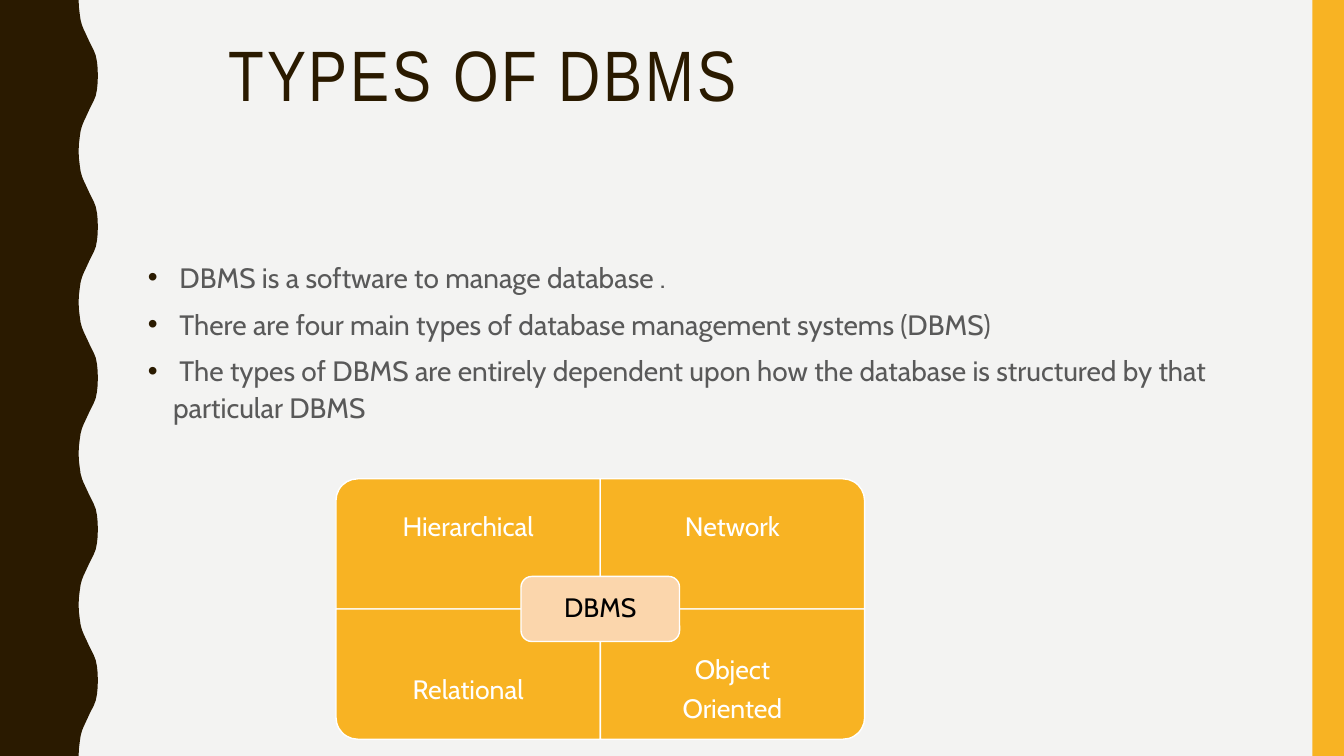
"""Build the slide on the four types of DBMS."""
from dataclasses import dataclass
from typing import Any, NamedTuple

from lxml import etree
from pptx import Presentation
from pptx.dml import color
from pptx.enum import shapes, text
from pptx.oxml import ns
from pptx.util import Pt


@dataclass(frozen=True)
class Theme:
    paper: str = "F3F3F2"
    dark: str = "2A1A00"
    accent: str = "F8B323"
    hub: str = "FBD6AC"
    body: str = "595959"
    white: str = "FFFFFF"
    black: str = "000000"
    heading_font: str = "Arial Narrow"
    text_font: str = "Cabin"
    heading_size: float = 51
    body_size: float = 20
    label_size: float = 19


class Box(NamedTuple):
    left: float
    top: float
    width: float
    height: float

    def lengths(self) -> list[Pt]:
        return [Pt(value) for value in self]


class Quarter(NamedTuple):
    column: int
    row: int
    rotation: int
    lines: list[str]


THEME = Theme()
SLIDE_WIDTH, SLIDE_HEIGHT = 960, 540
CENTRE_X, CENTRE_Y = 428.8, 435
QUARTER_WIDTH, QUARTER_HEIGHT = 188.8, 93
WAVE_PERIOD = 108
HALF_WAVE = [
    (56.2, 0), (56.4, 5), (57, 10), (57.6, 14.4), (58.6, 18),
    (59.8, 21), (61.2, 24), (62.6, 27), (64, 30), (65.5, 33),
    (67, 36), (68.4, 39.6), (69.3, 44), (69.8, 49), (69.9, 54),
]
QUARTERS = [
    Quarter(0, 0, 270, ["Hierarchical"]),
    Quarter(1, 0, 0, ["Network"]),
    Quarter(0, 1, 180, ["Relational"]),
    Quarter(1, 1, 90, ["Object", "Oriented"]),
]
POINTS = [
    " DBMS is a software to manage database .",
    " There are four main types of database management systems (DBMS)",
    " The types of DBMS are entirely dependent upon how the database is "
    "structured by that particular DBMS",
]
HEADING = {"name": THEME.heading_font, "size": Pt(THEME.heading_size)}
BODY = {"name": THEME.text_font, "size": Pt(THEME.body_size)}
LABEL = {"name": THEME.text_font, "size": Pt(THEME.label_size)}
HEADING_LINES = {"line_spacing": 0.9}
BODY_LINES = {"line_spacing": 1.1, "space_before": Pt(7)}
LABEL_LINES = {
    "alignment": text.PP_ALIGN.CENTER,
    "line_spacing": 0.9,
    "space_after": Pt(8),
}


def rgb(code: str) -> color.RGBColor:
    return color.RGBColor.from_string(code)


def apply(target: Any, values: dict[str, Any]) -> None:
    for name, value in values.items():
        setattr(target, name, value)


def paint(shape: Any, fill: str, outline: str | None = None) -> None:
    shape.shadow.inherit = False
    shape.fill.solid()
    shape.fill.fore_color.rgb = rgb(fill)
    if outline:
        shape.line.color.rgb = rgb(outline)
        shape.line.width = Pt(1)
    else:
        shape.line.fill.background()


def write(shape: Any, lines: list[str], ink: str, font: dict[str, Any],
          layout: dict[str, Any]) -> Any:
    frame = shape.text_frame
    frame.word_wrap = True
    for index, line in enumerate(lines):
        paragraph = frame.add_paragraph() if index else frame.paragraphs[0]
        apply(paragraph, layout)
        run = paragraph.add_run()
        run.text = line
        apply(run.font, font)
        run.font.color.rgb = rgb(ink)
    return frame


def centre(frame: Any, margin: float) -> None:
    sides = ("left", "top", "right", "bottom")
    apply(frame, {f"margin_{side}": Pt(margin) for side in sides})
    frame.vertical_anchor = text.MSO_ANCHOR.MIDDLE


def add_bullet(paragraph: Any) -> None:
    properties = paragraph._p.get_or_add_pPr()
    properties.set("marL", str(Pt(18)))
    properties.set("indent", str(Pt(-18)))
    tint = etree.SubElement(properties, ns.qn("a:buClr"))
    etree.SubElement(tint, ns.qn("a:srgbClr"), val=THEME.dark)
    etree.SubElement(properties, ns.qn("a:buFont"), typeface="Arial")
    etree.SubElement(properties, ns.qn("a:buChar"), char="•")


def draw_frame(slide: Any) -> None:
    wave = HALF_WAVE + [(x, WAVE_PERIOD - y) for x, y in HALF_WAVE[-2::-1]]
    edge = [(Pt(x), Pt(y + start))
            for start in range(0, SLIDE_HEIGHT, WAVE_PERIOD) for x, y in wave]
    outline = slide.shapes.build_freeform(0, 0)
    outline.add_line_segments(edge + [(0, Pt(SLIDE_HEIGHT))], close=True)
    paint(outline.convert_to_shape(), THEME.dark)
    band = Box(937.5, 0, 22.5, SLIDE_HEIGHT)
    paint(slide.shapes.add_shape(shapes.MSO_SHAPE.RECTANGLE, *band.lengths()),
          THEME.accent)


def draw_text(slide: Any) -> None:
    heading = slide.shapes.add_textbox(*Box(156.2, 25.2, 570, 90).lengths())
    frame = write(heading, ["TYPES OF DBMS"], THEME.dark, HEADING, HEADING_LINES)
    frame.paragraphs[0].runs[0].font._element.set("spc", "200")
    points = slide.shapes.add_textbox(*Box(98.6, 180, 801.4, 283).lengths())
    for point in write(points, POINTS, THEME.body, BODY, BODY_LINES).paragraphs:
        add_bullet(point)


def draw_quarter(slide: Any, quarter: Quarter) -> None:
    left = CENTRE_X + (quarter.column - 1) * QUARTER_WIDTH
    top = CENTRE_Y + (quarter.row - 1) * QUARTER_HEIGHT
    width, height = QUARTER_WIDTH, QUARTER_HEIGHT
    if quarter.rotation % 180:
        width, height = height, width
    box = Box(left + (QUARTER_WIDTH - width) / 2,
              top + (QUARTER_HEIGHT - height) / 2, width, height)
    panel = slide.shapes.add_shape(
        shapes.MSO_SHAPE.ROUND_1_RECTANGLE, *box.lengths())
    panel.rotation = quarter.rotation
    paint(panel, THEME.accent, THEME.white)

    label_top = top + quarter.row * QUARTER_HEIGHT / 4
    label_box = Box(left, label_top, QUARTER_WIDTH, QUARTER_HEIGHT * 3 / 4)
    label = slide.shapes.add_textbox(*label_box.lengths())
    centre(write(label, quarter.lines, THEME.white, LABEL, LABEL_LINES), 10.8)


def draw_hub(slide: Any) -> None:
    width, height = QUARTER_WIDTH * 0.6, QUARTER_HEIGHT / 2
    box = Box(CENTRE_X - width / 2, CENTRE_Y - height / 2, width, height)
    hub = slide.shapes.add_shape(
        shapes.MSO_SHAPE.ROUNDED_RECTANGLE, *box.lengths())
    paint(hub, THEME.hub, THEME.white)
    centre(write(hub, ["DBMS"], THEME.black, LABEL, LABEL_LINES), 6)


def main() -> None:
    deck = Presentation()
    apply(deck, {"slide_width": Pt(SLIDE_WIDTH), "slide_height": Pt(SLIDE_HEIGHT)})
    slide = deck.slides.add_slide(deck.slide_layouts[6])
    slide.background.fill.solid()
    slide.background.fill.fore_color.rgb = rgb(THEME.paper)
    draw_frame(slide)
    draw_text(slide)
    for quarter in QUARTERS:
        draw_quarter(slide, quarter)
    draw_hub(slide)
    deck.save("out.pptx")


if __name__ == "__main__":
    main()
